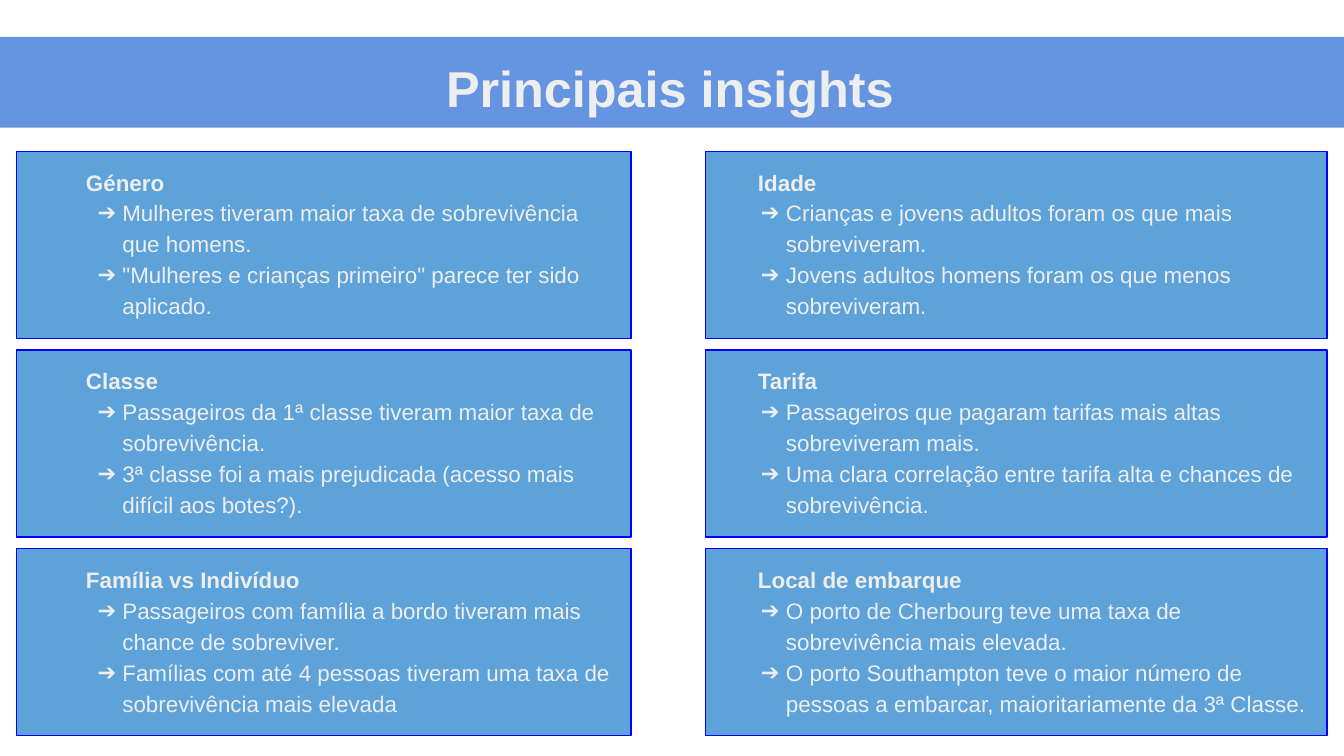
import pptx
import pptx.util
import pptx.dml.color
import pptx.enum.shapes
import pptx.enum.text
import pptx.oxml.ns
import lxml.etree

Pt = pptx.util.Pt
RGB = pptx.dml.color.RGBColor
Kind = pptx.enum.shapes.MSO_SHAPE
Anchor = pptx.enum.text.MSO_ANCHOR
qn = pptx.oxml.ns.qn

BAND = RGB(0x3C, 0x78, 0xD8)
CARD = RGB(0x41, 0x92, 0xD3)
EDGE = RGB(0x00, 0x00, 0xFF)
TEXT = RGB(0xEE, 0xEE, 0xEE)


def add_box(kind, left, top, width, height, color, alpha, anchor):
    box = slide.shapes.add_shape(kind, Pt(left), Pt(top), Pt(width), Pt(height))
    box.shadow.inherit = False
    box.fill.solid()
    box.fill.fore_color.rgb = color
    tint = box.fill._xPr.find(".//" + qn("a:srgbClr"))
    lxml.etree.SubElement(tint, qn("a:alpha"), val=str(alpha * 1000))
    frame = box.text_frame
    frame.word_wrap = True
    frame.vertical_anchor = anchor
    frame.margin_left = frame.margin_right = Pt(7.2)
    frame.margin_top = frame.margin_bottom = Pt(7.2)
    return box


def add_text(para, text, size, bold, align):
    para.alignment = align
    para.line_spacing = 1.15
    run = para.add_run()
    run.text = text
    run.font.name = "Arial"
    run.font.size = Pt(size)
    run.font.bold = bold
    run.font.color.rgb = TEXT


prs = pptx.Presentation()
prs.slide_width = Pt(720)
prs.slide_height = Pt(405)
slide = prs.slides.add_slide(prs.slide_layouts[6])
Align = pptx.enum.text.PP_ALIGN

band = add_box(Kind.ROUNDED_RECTANGLE, -30, 19.8, 778, 48.6, BAND, 79, Anchor.MIDDLE)
band.adjustments[0] = 0.5
band.line.fill.background()
add_text(band.text_frame.paragraphs[0], "Principais insights", 27, True, Align.CENTER)

cols = [
    (9, 329, 30, 49.5, 13.2, [
        ("Género", [
            "Mulheres tiveram maior taxa de sobrevivência que homens.",
            "\"Mulheres e crianças primeiro\" parece ter sido aplicado.",
        ]),
        ("Classe", [
            "Passageiros da 1ª classe tiveram maior taxa de sobrevivência.",
            "3ª classe foi a mais prejudicada (acesso mais difícil aos botes?).",
        ]),
        ("Família vs Indivíduo", [
            "Passageiros com família a bordo tiveram mais chance de sobreviver.",
            "Famílias com até 4 pessoas tiveram uma taxa de sobrevivência mais elevada",
        ]),
    ]),
    (378, 333, 21, 36, 13.5, [
        ("Idade", [
            "Crianças e jovens adultos foram os que mais sobreviveram.",
            "Jovens adultos homens foram os que menos sobreviveram.",
        ]),
        ("Tarifa", [
            "Passageiros que pagaram tarifas mais altas sobreviveram mais.",
            "Uma clara correlação entre tarifa alta e chances de sobrevivência.",
        ]),
        ("Local de embarque", [
            "O porto de Cherbourg teve uma taxa de sobrevivência mais elevada.",
            "O porto Southampton teve o maior número de pessoas a embarcar, "
            "maioritariamente da 3ª Classe.",
        ]),
    ]),
]

for left, width, inset, indent, hang, cards in cols:
    for row, (head, points) in enumerate(cards):
        top = 81 + row * 106.5
        card = add_box(Kind.RECTANGLE, left, top, width, 100.2, CARD, 85, Anchor.TOP)
        card.line.color.rgb = EDGE
        card.line.width = Pt(0.75)
        frame = card.text_frame
        para = frame.paragraphs[0]
        para._p.get_or_add_pPr().set("marL", str(Pt(inset)))
        add_text(para, head, 12, True, Align.LEFT)
        for point in points:
            para = frame.add_paragraph()
            props = para._p.get_or_add_pPr()
            props.set("marL", str(Pt(indent)))
            props.set("indent", str(-Pt(hang)))
            tint = lxml.etree.SubElement(props, qn("a:buClr"))
            lxml.etree.SubElement(tint, qn("a:srgbClr"), val=str(TEXT))
            lxml.etree.SubElement(props, qn("a:buFont"), typeface="Arial")
            lxml.etree.SubElement(props, qn("a:buChar"), char="➔")
            add_text(para, point, 12, False, Align.LEFT)

prs.save("out.pptx")
